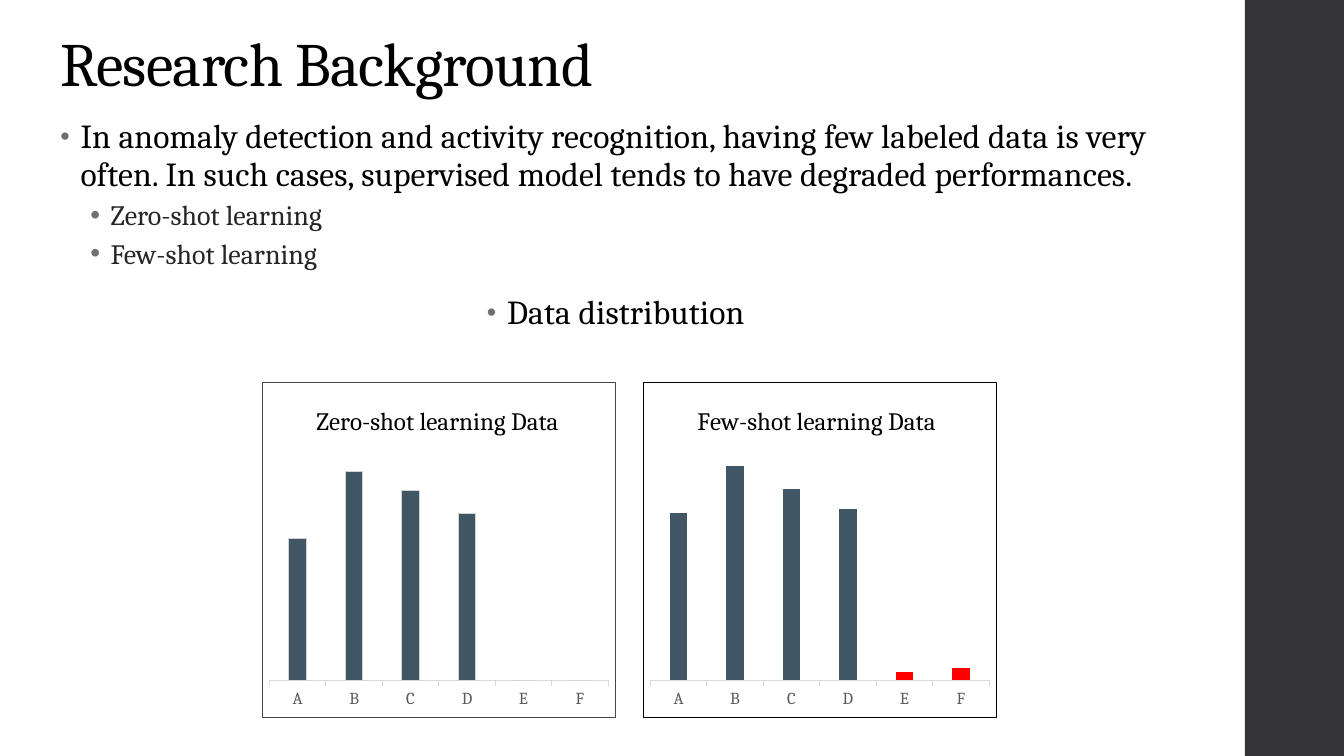
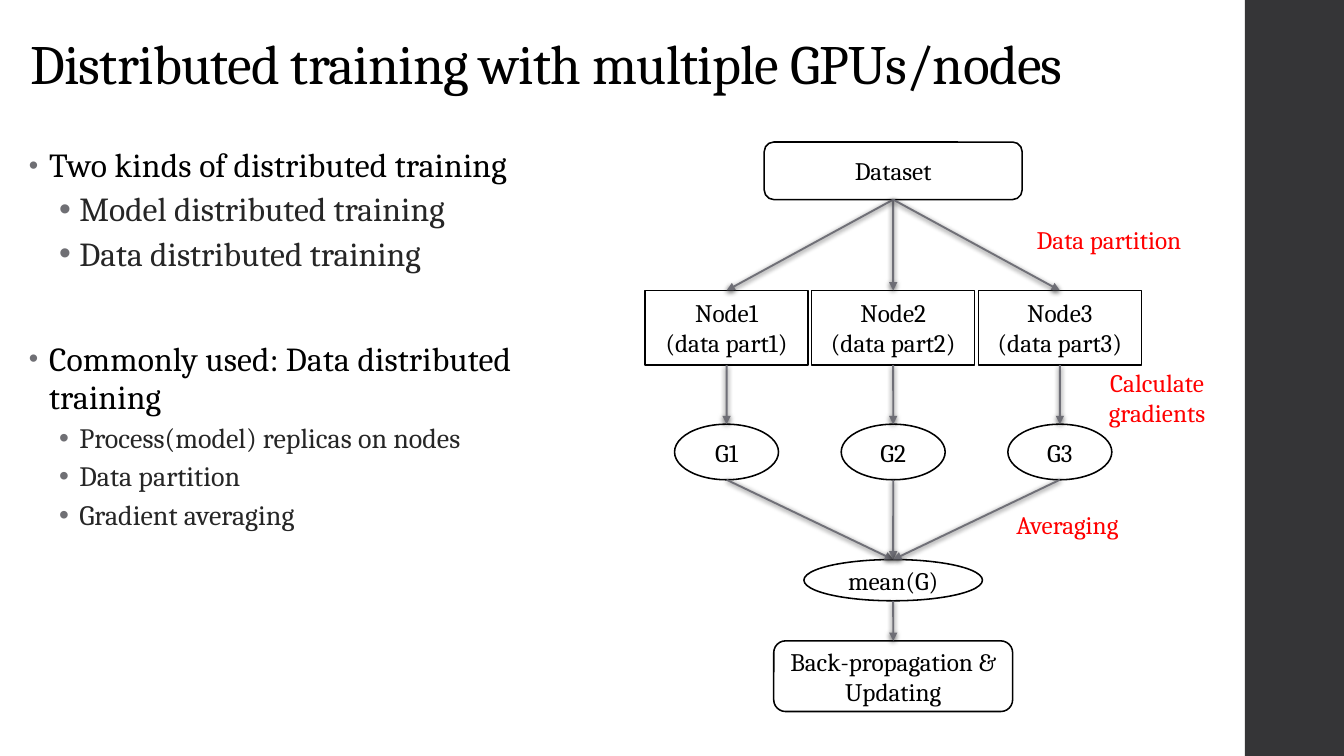
from lxml import etree
from pptx import Presentation
from pptx.chart import data
from pptx.dml.color import RGBColor
from pptx.enum import chart as ch, shapes as sh, text as tx
from pptx.oxml import ns, parse_xml
from pptx.util import Cm, Pt

# Shared look
FONT = "Cambria"
BLACK = RGBColor(0, 0, 0)
WHITE = RGBColor(255, 255, 255)
RED = RGBColor(255, 0, 0)
DARK = RGBColor(0x35, 0x35, 0x37)
SOFT = RGBColor(0x26, 0x26, 0x26)
DOT = RGBColor(0x6F, 0x6F, 0x74)
ARROW = RGBColor(0x6B, 0x6B, 0x73)
BAR = RGBColor(0x41, 0x56, 0x65)
EDGE = RGBColor(0xD6, 0xD3, 0xCC)
AXIS = RGBColor(0xD9, 0xD9, 0xD9)
LABEL = RGBColor(0x59, 0x59, 0x59)
FRAME = RGBColor(0x46, 0x46, 0x4A)
WIDE, HIGH = 33.87, 19.05
SIDE = 2.5
MID, LEFT = tx.PP_ALIGN.CENTER, tx.PP_ALIGN.LEFT

# Slide 1: level, text, size, alignment, space before
REASONS = [
    (0, "In anomaly detection and activity recognition, having few labeled "
        "data is very often. In such cases, supervised model tends to have "
        "degraded performances.", 24, LEFT, 14),
    (1, "Zero-shot learning", 20, LEFT, 3),
    (1, "Few-shot learning", 20, LEFT, 3),
    (0, "Data distribution", 24, MID, 14),
]
CATS = "ABCDEF"
# Title, values, frame, bar edge, red bars, top of plot
CHARTS = [
    ("Zero-shot learning Data", (68, 100, 91, 80, 0, 0), FRAME, EDGE, (), 0.14),
    ("Few-shot learning Data", (78, 100, 89, 80, 4, 6), BLACK, None, (4, 5), 0.12),
]

# Slide 2
KINDS = [
    (0, "Two kinds of distributed training", 24, LEFT, 14),
    (1, "Model distributed training", 24, LEFT, 3),
    (1, "Data distributed training", 24, LEFT, 3),
    (0, "Commonly used: Data distributed training", 24, LEFT, 45),
    (1, "Process(model) replicas on nodes", 20, LEFT, 3),
    (1, "Data partition", 20, LEFT, 3),
    (1, "Gradient averaging", 20, LEFT, 3),
]
COLS = [18.31 + 4.2 * i for i in range(3)]
RECT, ROUND, OVAL = (sh.MSO_SHAPE.RECTANGLE, sh.MSO_SHAPE.ROUNDED_RECTANGLE,
                     sh.MSO_SHAPE.OVAL)
# Each row: preset, top, width, height, one list of lines per box
ROWS = [
    (ROUND, 3.58, 6.5, 1.45, [["Dataset"]]),
    (RECT, 7.32, 4.11, 1.88, [[f"Node{i}", f"(data part{i})"] for i in (1, 2, 3)]),
    (OVAL, 10.69, 2.62, 1.4, [[f"G{i}"] for i in (1, 2, 3)]),
    (OVAL, 14.1, 4.5, 1.04, [["mean(G)"]]),
    (ROUND, 16.15, 6.02, 1.78, [["Back-propagation & Updating"]]),
]
# Text, left, top, width, height
NOTES = [
    ("Data partition", 25.3, 5.54, 5.3, 0.97),
    ("Calculate gradients", 26.9, 9.25, 4.52, 1.52),
    ("Averaging", 24.64, 12.78, 4.52, 0.86),
]


def style(font, size, color):
    font.name, font.size, font.bold = FONT, Pt(size), False
    font.color.rgb = color


def write(para, words, size, color, gap=0):
    run = para.add_run()
    run.text = words
    style(run.font, size, color)
    if gap:
        run._r.get_or_add_rPr().set("spc", str(gap))


def start(deck, title, left, top, width, height, size):
    """Slide with the dark side band and a title."""
    slide = deck.slides.add_slide(deck.slide_layouts[5])
    band = slide.shapes.add_shape(RECT, Cm(WIDE - SIDE), 0, Cm(SIDE), Cm(HIGH))
    band.shadow.inherit = False
    band.fill.solid()
    band.fill.fore_color.rgb = DARK
    band.line.fill.background()
    head = slide.shapes.title
    head.left, head.top = Cm(left), Cm(top)
    head.width, head.height = Cm(width), Cm(height)
    frame = head.text_frame
    frame.vertical_anchor = tx.MSO_ANCHOR.BOTTOM
    frame.auto_size = tx.MSO_AUTO_SIZE.NONE
    para = frame.paragraphs[0]
    para.alignment, para.line_spacing = LEFT, 0.9
    write(para, title, size, BLACK, -50)
    return slide


def bullets(slide, items, left, top, width, height):
    box = slide.shapes.add_textbox(Cm(left), Cm(top), Cm(width), Cm(height))
    frame = box.text_frame
    frame.word_wrap = True
    for i, (level, words, size, align, before) in enumerate(items):
        para = frame.paragraphs[0] if i == 0 else frame.add_paragraph()
        para.level, para.alignment = level, align
        para.line_spacing = 0.9 if level else 0.95
        para.space_before, para.space_after = Pt(before), Pt(3 if level else 2)
        props = para._p.get_or_add_pPr()
        props.set("marL", str(Cm(1.27 if level else 0.51)))
        props.set("indent", str(-Cm(0.51)))
        tint = etree.SubElement(props, ns.qn("a:buClr"))
        etree.SubElement(tint, ns.qn("a:srgbClr"), val=str(DOT))
        etree.SubElement(props, ns.qn("a:buSzPct"),
                         val="100000" if level else "80000")
        etree.SubElement(props, ns.qn("a:buFont"), typeface="Arial")
        etree.SubElement(props, ns.qn("a:buChar"), char="•")
        write(para, words, size, SOFT if level else BLACK, 0 if level else 10)


def place(owner, x, y, w=None, h=None):
    """Fixed layout of a chart title or plot area, in shares of the chart."""
    for old in owner.findall(ns.qn("c:layout")):
        owner.remove(old)
    rows = [("xMode", "edge"), ("yMode", "edge"), ("x", x), ("y", y)]
    if w:
        rows = [("layoutTarget", "inner")] + rows + [("w", w), ("h", h)]
    layout = etree.Element(ns.qn("c:layout"))
    manual = etree.SubElement(layout, ns.qn("c:manualLayout"))
    for tag, val in rows:
        etree.SubElement(manual, ns.qn("c:" + tag), val=str(val))
    words = owner.find(ns.qn("c:tx"))
    if words is None:
        owner.insert(0, layout)
    else:
        words.addnext(layout)


def columns(slide, left, title, vals, border, edge, reds, top):
    facts = data.CategoryChartData()
    facts.categories = list(CATS)
    facts.add_series("Series 1", vals)
    chart = slide.shapes.add_chart(
        ch.XL_CHART_TYPE.COLUMN_CLUSTERED, Cm(left), Cm(9.63), Cm(8.92),
        Cm(8.46), facts).chart
    style(chart.font, 10, BLACK)
    chart.has_legend = False
    chart.has_title = True
    write(chart.chart_title.text_frame.paragraphs[0], title, 18, BLACK)
    # Axes
    vert, flat = chart.value_axis, chart.category_axis
    vert.minimum_scale, vert.maximum_scale = 0, 120
    vert.has_major_gridlines = False
    vert.visible = False
    flat.major_tick_mark = ch.XL_TICK_MARK.OUTSIDE
    flat.format.line.color.rgb = AXIS
    flat.format.line.width = Pt(0.75)
    style(flat.tick_labels.font, 12, LABEL)
    # Bars
    plot = chart.plots[0]
    plot.vary_by_categories = False
    plot.gap_width, plot.overlap = 219, -27
    bars = plot.series[0]
    bars.format.fill.solid()
    bars.format.fill.fore_color.rgb = BAR
    if edge:
        bars.format.line.color.rgb = edge
        bars.format.line.width = Pt(0.75)
    for i in reds:
        fill = bars.points[i].format.fill
        fill.solid()
        fill.fore_color.rgb = RED
    # Layout and frame
    place(chart.chart_title._element, 0.14, 0.05)
    place(chart._chartSpace.chart.plotArea, 0.02, top, 0.96, round(0.89 - top, 2))
    chart._chartSpace.chart.addnext(parse_xml(
        f'<c:spPr {ns.nsdecls("c", "a")}><a:noFill/><a:ln w="9525"><a:solidFill>'
        f'<a:srgbClr val="{border}"/></a:solidFill></a:ln></c:spPr>'))


def centre(frame, lines, color):
    frame.word_wrap = True
    frame.vertical_anchor = tx.MSO_ANCHOR.MIDDLE
    for i, words in enumerate(lines):
        para = frame.paragraphs[0] if i == 0 else frame.add_paragraph()
        para.alignment = MID
        write(para, words, 18, color)


def block(slide, kind, mid, top, width, height, lines):
    box = slide.shapes.add_shape(kind, Cm(mid - width / 2), Cm(top),
                                 Cm(width), Cm(height))
    box.shadow.inherit = False
    box.fill.solid()
    box.fill.fore_color.rgb = WHITE
    box.line.color.rgb = BLACK
    box.line.width = Pt(1.1)
    centre(box.text_frame, lines, BLACK)
    return box


def arrow(slide, one, two):
    """Soft-shadowed arrow from the bottom of one box to the top of the next."""
    line = slide.shapes.add_connector(
        sh.MSO_CONNECTOR.STRAIGHT, one.left + one.width // 2,
        one.top + one.height, two.left + two.width // 2, two.top)
    if one.auto_shape_type != OVAL:
        line.begin_connect(one, 2)
    if two.auto_shape_type != OVAL:
        line.end_connect(two, 0)
    line.line.color.rgb = ARROW
    line.line.width = Pt(1.35)
    props = line._element.spPr
    stroke = props.find(ns.qn("a:ln"))
    tint = stroke.find(".//" + ns.qn("a:srgbClr"))
    etree.SubElement(tint, ns.qn("a:alpha"), val="95000")
    etree.SubElement(stroke, ns.qn("a:tailEnd"), type="triangle")
    props.append(parse_xml(
        f'<a:effectLst {ns.nsdecls("a")}><a:outerShdw blurRad="{Pt(4)}" '
        f'dist="{Pt(1.2)}" dir="5400000" rotWithShape="0"><a:srgbClr '
        f'val="{BLACK}"><a:alpha val="75000"/></a:srgbClr></a:outerShdw>'
        '</a:effectLst>'))


def background(deck):
    slide = start(deck, "Research Background", 1.27, 0.23, 27.94, 2.41, 44)
    bullets(slide, REASONS, 1.27, 2.84, 28.5, 13.34)
    for i, row in enumerate(CHARTS):
        columns(slide, 6.6 + 9.6 * i, *row)


def training(deck):
    slide = start(deck, "Distributed training with multiple GPUs/nodes",
                  0.51, 0.61, 31.67, 1.96, 39.6)
    bullets(slide, KINDS, 0.48, 3.58, 15, 12.14)
    # Flow from the dataset down to the update
    above = []
    for kind, top, width, height, texts in ROWS:
        mids = COLS if len(texts) == 3 else COLS[1:2]
        boxes = [block(slide, kind, mid, top, width, height, lines)
                 for mid, lines in zip(mids, texts)]
        if len(above) == len(boxes):
            pairs = zip(above, boxes)
        else:
            pairs = [(a, b) for a in above for b in boxes]
        for one, two in pairs:
            arrow(slide, one, two)
        above = boxes
    # Red step names
    for words, *area in NOTES:
        box = slide.shapes.add_textbox(*map(Cm, area))
        centre(box.text_frame, [words], RED)


def main():
    deck = Presentation()
    deck.slide_width, deck.slide_height = Cm(WIDE), Cm(HIGH)
    background(deck)
    training(deck)
    deck.save("out.pptx")


if __name__ == "__main__":
    main()
